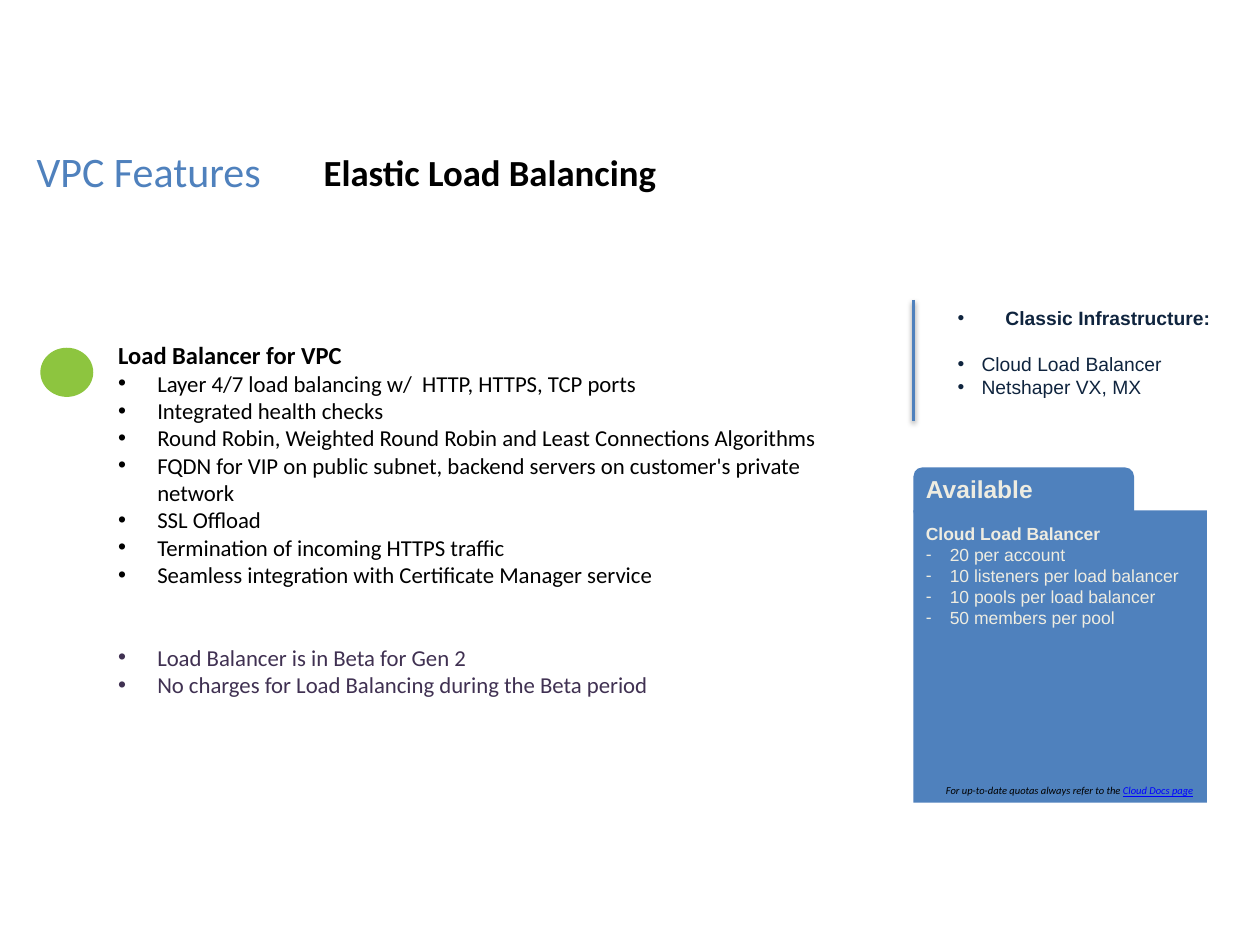
from dataclasses import dataclass
from typing import Optional

import lxml.etree
import pptx
import pptx.dml.color
import pptx.enum.shapes
import pptx.enum.text
import pptx.oxml.ns
import pptx.util

Inches = pptx.util.Inches
Pt = pptx.util.Pt
Shapes = pptx.enum.shapes.MSO_SHAPE
Anchor = pptx.enum.text.MSO_ANCHOR
Align = pptx.enum.text.PP_ALIGN
qn = pptx.oxml.ns.qn


@dataclass(frozen=True)
class Theme:
    blue: str = "4F81BD"
    green: str = "8DC53F"
    cream: str = "EEECE1"
    navy: str = "0F243E"
    purple: str = "403152"
    black: str = "000000"
    link: str = "0000FF"
    sans: str = "Arial"
    body: str = "Calibri"
    title: float = 24
    subtitle: float = 21
    heading: float = 14
    feature: float = 13
    classic: float = 11
    quota: float = 10
    note: float = 6


@dataclass(frozen=True)
class Area:
    left: float
    top: float
    width: float
    height: float

    def lengths(self) -> tuple:
        return tuple(Inches(v) for v in (self.left, self.top, self.width, self.height))


@dataclass(frozen=True)
class Bullet:
    mark: str
    indent: float


THEME = Theme()
PANEL_LEFT = 7.25
FEATURE_BULLET = Bullet("•", 0.31)
FEATURES = (
    "Layer 4/7 load balancing w/  HTTP, HTTPS, TCP ports",
    "Integrated health checks",
    "Round Robin, Weighted Round Robin and Least Connections Algorithms",
    "FQDN for VIP on public subnet, backend servers on customer's private network",
    "SSL Offload",
    "Termination of incoming HTTPS traffic",
    "Seamless integration with Certificate Manager service",
)
BETA_NOTES = (
    "Load Balancer is in Beta for Gen 2",
    "No charges for Load Balancing during the Beta period",
)
CLASSIC_PRODUCTS = ("Cloud Load Balancer", "Netshaper VX, MX")
QUOTAS = (
    "20 per account",
    "10 listeners per load balancer",
    "10 pools per load balancer",
    "50 members per pool",
)


def rgb(color: str):
    return pptx.dml.color.RGBColor.from_string(color)


def set_bullet(para, bullet: Bullet) -> None:
    properties = para._p.get_or_add_pPr()
    properties.set("marL", str(Inches(bullet.indent)))
    properties.set("indent", str(-Inches(bullet.indent)))
    lxml.etree.SubElement(properties, qn("a:buFont")).set("typeface", THEME.sans)
    lxml.etree.SubElement(properties, qn("a:buChar")).set("char", bullet.mark)


def write(frame, text: str, *, size: float, color: str, font: str = THEME.body,
          bold: bool = False, italic: bool = False, underline: bool = False,
          bullet: Optional[Bullet] = None, before: float = 0,
          line_spacing: float = 1.0, align=Align.LEFT, same_line: bool = False):
    """Add a paragraph, or a further span of the last one when same_line is set."""
    para = frame.paragraphs[-1]
    if not same_line:
        if para.runs:
            para = frame.add_paragraph()
        if bullet:
            set_bullet(para, bullet)
        para.space_before = Pt(before)
        para.line_spacing = line_spacing
        para.alignment = align
    span = para.add_run()
    span.text = text
    span.font.name = font
    span.font.size = Pt(size)
    span.font.bold = bold
    span.font.italic = italic
    span.font.underline = underline
    span.font.color.rgb = rgb(color)


def place(placeholder, area: Area):
    placeholder.left, placeholder.top, placeholder.width, placeholder.height = area.lengths()
    frame = placeholder.text_frame
    frame.auto_size = pptx.enum.text.MSO_AUTO_SIZE.NONE
    frame.vertical_anchor = Anchor.TOP
    return frame


def add_text_box(slide, area: Area, wrap: bool = True):
    frame = slide.shapes.add_textbox(*area.lengths()).text_frame
    frame.word_wrap = wrap
    return frame


def add_block(slide, kind, area: Area, color: str):
    block = slide.shapes.add_shape(kind, *area.lengths())
    block.shadow.inherit = False
    block.fill.solid()
    block.fill.fore_color.rgb = rgb(color)
    block.line.fill.background()
    return block


def set_margins(frame, left: float, top: float, right: float, bottom: float) -> None:
    frame.margin_left, frame.margin_top = Inches(left), Inches(top)
    frame.margin_right, frame.margin_bottom = Inches(right), Inches(bottom)


def add_divider(slide, left: float, top: float, bottom: float) -> None:
    """Draw a vertical rule with a soft shadow below it."""
    rule = slide.shapes.add_connector(
        pptx.enum.shapes.MSO_CONNECTOR.STRAIGHT,
        Inches(left), Inches(top), Inches(left), Inches(bottom))
    rule.line.color.rgb = rgb(THEME.blue)
    rule.line.width = Pt(2)
    effects = lxml.etree.SubElement(rule._element.spPr, qn("a:effectLst"))
    shadow = lxml.etree.SubElement(
        effects, qn("a:outerShdw"), blurRad=str(Pt(3.1)), dist=str(Pt(1.6)),
        dir="5400000", rotWithShape="0")
    shade = lxml.etree.SubElement(shadow, qn("a:srgbClr"), val=THEME.black)
    lxml.etree.SubElement(shade, qn("a:alpha"), val="38000")


def add_headings(slide) -> None:
    title = place(slide.shapes.title, Area(0.19, 1.15, 3.05, 0.52))
    write(title, "VPC Features", size=THEME.title, color=THEME.blue, line_spacing=0.9)
    subtitle = add_text_box(slide, Area(2.47, 1.18, 7.69, 0.52))
    write(subtitle, "Elastic Load Balancing", size=THEME.subtitle, color=THEME.black,
          bold=True, line_spacing=0.9)


def add_features(slide) -> None:
    add_block(slide, Shapes.OVAL, Area(0.32, 2.76, 0.42, 0.39), THEME.green)
    frame = add_text_box(slide, Area(0.84, 2.65, 6.13, 2.96))
    write(frame, "Load Balancer for VPC", size=THEME.heading, color=THEME.black, bold=True)
    for feature in FEATURES:
        write(frame, feature, size=THEME.feature, color=THEME.black, bullet=FEATURE_BULLET)
    for index, note in enumerate(BETA_NOTES):
        write(frame, note, size=THEME.feature, color=THEME.purple,
              bullet=FEATURE_BULLET, before=0 if index else 31.5)


def add_classic(slide) -> None:
    frame = place(slide.placeholders[1], Area(7.5, 2.38, 2.27, 2.45))
    style = dict(size=THEME.classic, color=THEME.navy, font=THEME.sans)
    write(frame, "Classic Infrastructure:", bold=True, bullet=Bullet("•", 0.38), **style)
    for index, product in enumerate(CLASSIC_PRODUCTS):
        write(frame, product, bullet=Bullet("•", 0.19), before=0 if index else 13, **style)
    add_divider(slide, PANEL_LEFT, 2.38, 3.34)


def add_quotas(slide) -> None:
    panel = add_block(slide, Shapes.RECTANGLE, Area(PANEL_LEFT, 4.05, 2.33, 2.32), THEME.blue)
    frame = panel.text_frame
    frame.vertical_anchor = Anchor.TOP
    set_margins(frame, 0.1, 0.1, 0.1, 0)
    style = dict(size=THEME.quota, color=THEME.cream, font=THEME.sans)
    write(frame, "Cloud Load Balancer", bold=True, **style)
    for quota in QUOTAS:
        write(frame, quota, bullet=Bullet("-", 0.19), **style)

    add_block(slide, Shapes.ROUNDED_RECTANGLE, Area(PANEL_LEFT, 3.71, 1.75, 0.42), THEME.blue)
    label = add_text_box(slide, Area(PANEL_LEFT, 3.71, 1.05, 0.34), wrap=False)
    write(label, "Available", size=THEME.heading, color=THEME.cream, font=THEME.sans, bold=True)

    note = add_text_box(slide, Area(2.47, 6.2, 7, 0.15))
    note.vertical_anchor = Anchor.MIDDLE
    set_margins(note, 0, 0, 0, 0)
    write(note, "For up-to-date quotas always refer to the ", size=THEME.note,
          color=THEME.black, italic=True, align=Align.RIGHT)
    write(note, "Cloud Docs page", size=THEME.note, color=THEME.link, italic=True,
          underline=True, same_line=True)


def main() -> None:
    deck = pptx.Presentation()
    deck.slide_width, deck.slide_height = Inches(10), Inches(7.5)
    slide = deck.slides.add_slide(deck.slide_layouts[1])
    add_classic(slide)
    add_features(slide)
    add_quotas(slide)
    add_headings(slide)
    deck.save("out.pptx")


if __name__ == "__main__":
    main()
